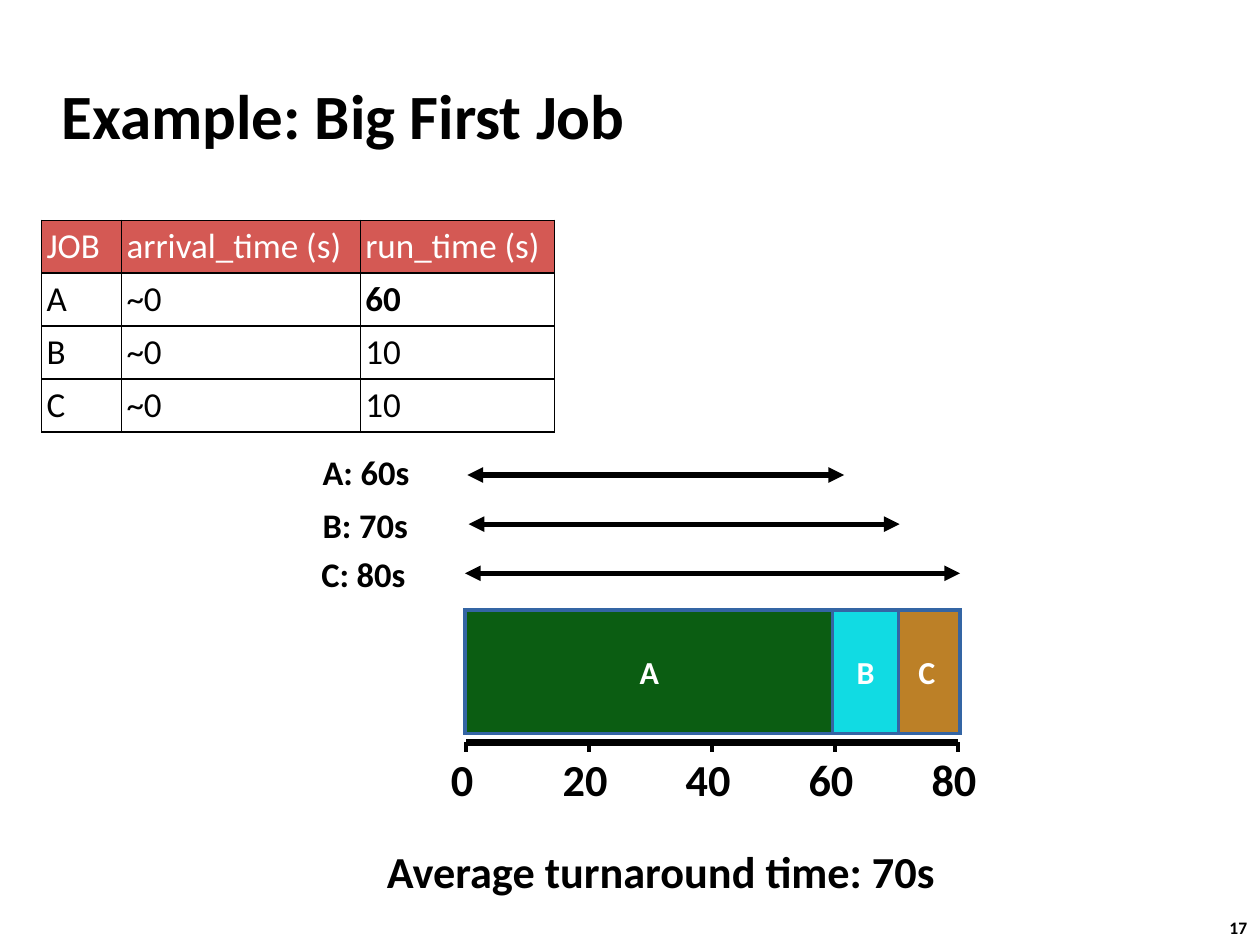
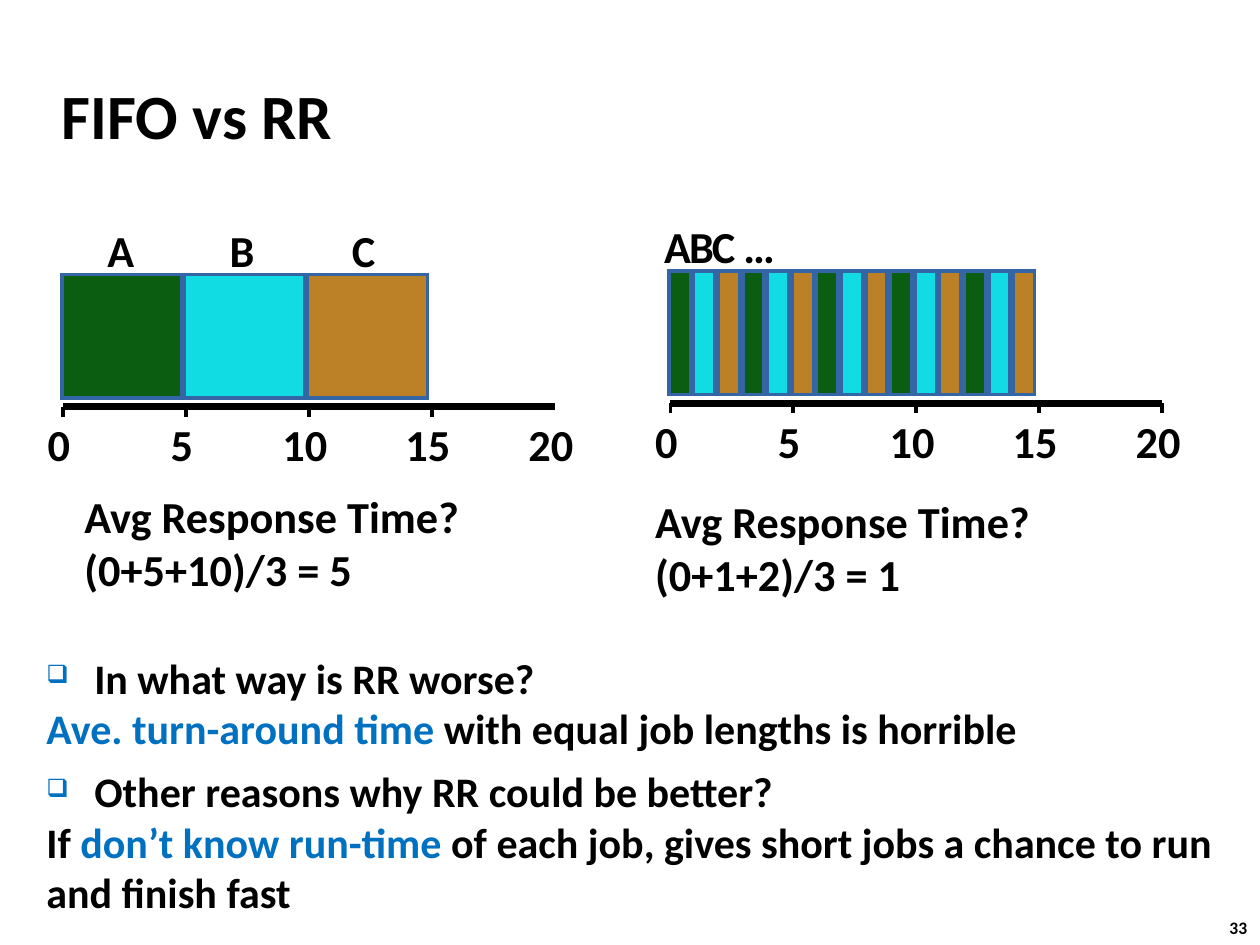
from dataclasses import dataclass

from lxml import etree
from pptx import Presentation
from pptx import util as u
from pptx.dml.color import RGBColor
from pptx.enum import shapes, text
from pptx.oxml import ns

COLORS = {
    "ink": "000000", "paper": "FFFFFF", "accent": "0070C0", "edge": "3465A4",
    "header": "D45954", "A": "0B5D12", "B": "11DBE3", "C": "BC8027",
}
FONT = "Calibri"
WIDTH, HEIGHT = u.Inches(10), u.Inches(7.5)
COLUMN, ROW = WIDTH / 100, HEIGHT / 75
TIGHT = u.Inches(0.04)
BIG = 25.3
AXIS_STEP = 9.76  # columns between two ticks


@dataclass
class Bar:
    job: str
    start: float
    length: float
    caption: str = ""


@dataclass
class Mark:
    """A label above the bars, its left edge given as a time."""
    label: str
    time: float


@dataclass
class Timeline:
    left: float
    top: float
    step: int
    bars: list[Bar]
    marks: list[Mark]
    ticks: int = 5

    def column(self, time: float) -> float:
        return self.left + time * AXIS_STEP / self.step


@dataclass
class Turnaround:
    label: str
    label_left: float
    label_top: float
    start: float
    end: float


@dataclass
class Note:
    """A bulleted question and its answer as (text, color) spans."""
    top: float
    width: float
    height: float
    question: str
    answer: list[tuple[str, str]]


def x(columns: float) -> int:
    return round(columns * COLUMN)


def y(rows: float) -> int:
    return round(rows * ROW)


def rgb(name: str) -> RGBColor:
    return RGBColor.from_string(COLORS[name])


def style_text(frame, size: float, color: str = "ink", bold: bool = True) -> None:
    for para in frame.paragraphs:
        for span in para.runs:
            span.font.name = FONT
            span.font.size = u.Pt(size)
            span.font.bold = bold
            span.font.color.rgb = rgb(color)


def set_margins(holder, margin: int) -> None:
    holder.margin_left = holder.margin_right = margin
    holder.margin_top = holder.margin_bottom = margin


def add_text(page, words: str, left: float, top: float, width: float,
             height: float, size: float, tight: bool = True, wrap: bool = False):
    box = page.shapes.add_textbox(x(left), y(top), x(width), y(height))
    frame = box.text_frame
    frame.word_wrap = wrap
    frame.text = words
    if tight:
        set_margins(frame, TIGHT)
        frame.vertical_anchor = text.MSO_ANCHOR.MIDDLE
    style_text(frame, size)
    return frame


def add_line(page, left: float, top: float, right: float, bottom: float,
             weight: float, arrows: bool = False) -> None:
    line = page.shapes.add_connector(
        shapes.MSO_CONNECTOR.STRAIGHT, x(left), y(top), x(right), y(bottom))
    line.line.color.rgb = rgb("ink")
    line.line.width = u.Pt(weight)
    properties = line._element.spPr
    if arrows:
        stroke = properties.find(ns.qn("a:ln"))
        for end in ("a:headEnd", "a:tailEnd"):
            etree.SubElement(stroke, ns.qn(end), type="triangle")
    etree.SubElement(properties, ns.qn("a:effectLst"))


def add_bar(page, timeline: Timeline, bar: Bar) -> None:
    width = bar.length * AXIS_STEP / timeline.step
    shape = page.shapes.add_shape(
        shapes.MSO_SHAPE.RECTANGLE, x(timeline.column(bar.start) - 0.1),
        y(timeline.top - 10.5), x(width), y(9.8))
    shape.shadow.inherit = False
    shape.fill.solid()
    shape.fill.fore_color.rgb = rgb(bar.job)
    shape.line.color.rgb = rgb("edge")
    shape.line.width = u.Pt(2)
    stroke = shape._element.spPr.find(ns.qn("a:ln"))
    etree.SubElement(stroke, ns.qn("a:miter"), lim="800000")
    if bar.caption:
        frame = shape.text_frame
        frame.text = bar.caption
        set_margins(frame, 0)
        frame.vertical_anchor = text.MSO_ANCHOR.MIDDLE
        frame.paragraphs[0].alignment = text.PP_ALIGN.CENTER
        style_text(frame, 18.3, "paper")


def add_timeline(page, timeline: Timeline) -> None:
    for bar in timeline.bars:
        add_bar(page, timeline, bar)
    top = timeline.top
    add_line(page, timeline.left, top, timeline.column(4 * timeline.step), top, 4)
    for index in range(5):
        time = index * timeline.step
        column = timeline.column(time)
        if index < timeline.ticks:
            add_line(page, column, top, column, top + 0.8, 2)
        width = 0.85 + 1.78 * len(str(time))
        add_text(page, str(time), column - 0.3 - width / 2, top + 0.45,
                 width, 5, BIG)
    for mark in timeline.marks:
        width = 3.5 if mark.label == "…" else 3
        add_text(page, mark.label, timeline.column(mark.time), top - 15,
                 width, 5, BIG)


def add_job_table(page, rows: list[list[str]], widths: list[float]) -> None:
    table = page.shapes.add_table(
        len(rows), len(widths), x(3.3), y(17.5), x(sum(widths)),
        y(4.2 * len(rows))).table
    table.first_row = table.horz_banding = False
    for column, width in zip(table.columns, widths):
        column.width = x(width)
    for row_index, (row, values) in enumerate(zip(table.rows, rows)):
        row.height = y(4.2)
        for cell, value in zip(row.cells, values):
            cell.text = value
            set_margins(cell, TIGHT)
            cell.vertical_anchor = text.MSO_ANCHOR.MIDDLE
            if row_index == 0:
                cell.fill.solid()
                cell.fill.fore_color.rgb = rgb("header")
            else:
                cell.fill.background()
            style_text(cell.text_frame, 20, "ink" if row_index else "paper",
                       bold=value == "60")
            add_borders(cell)


def add_borders(cell) -> None:
    properties = cell._tc.get_or_add_tcPr()
    for index, (side, points) in enumerate(
            (("L", 0.5), ("R", 0.5), ("T", 1.25), ("B", 1.25))):
        border = etree.Element(ns.qn(f"a:ln{side}"), w=str(u.Pt(points)))
        fill = etree.SubElement(border, ns.qn("a:solidFill"))
        etree.SubElement(fill, ns.qn("a:srgbClr"), val=COLORS["ink"])
        properties.insert(index, border)


def add_note(page, note: Note) -> None:
    frame = add_text(page, note.question, 2.7, note.top, note.width,
                     note.height, 24, tight=False, wrap=True)
    properties = frame.paragraphs[0]._p.get_or_add_pPr()
    indent = u.Inches(0.38)
    properties.set("marL", str(indent))
    properties.set("indent", str(-indent))
    color = etree.SubElement(properties, ns.qn("a:buClr"))
    etree.SubElement(color, ns.qn("a:srgbClr"), val=COLORS["accent"])
    etree.SubElement(properties, ns.qn("a:buSzPct"), val="60000")
    etree.SubElement(properties, ns.qn("a:buChar"), char="❑")
    para = frame.add_paragraph()
    for words, _ in note.answer:
        para.add_run().text = words
    style_text(frame, 24)
    for span, (_, name) in zip(para.runs, note.answer):
        span.font.color.rgb = rgb(name)


def add_page(deck, title: str, number: int):
    page = deck.slides.add_slide(deck.slide_layouts[6])
    page.background.fill.solid()
    page.background.fill.fore_color.rgb = rgb("paper")
    add_text(page, str(number), 96.6, 72.3, 3.7, 2.7, 10, tight=False)
    heading = add_text(page, title, 3.9, 4.9, 83, 8.3, 36, tight=False, wrap=True)
    heading.vertical_anchor = text.MSO_ANCHOR.MIDDLE
    return page


def build_big_job(deck) -> None:
    page = add_page(deck, "Example: Big First Job", 17)
    bars = [Bar("A", 0, 60, "A"), Bar("C", 69.8, 10.7, "C"),
            Bar("B", 59.8, 10.7, "B")]
    add_timeline(page, Timeline(37, 58.9, 20, bars, []))
    add_text(page, "Average turnaround time: 70s", 30.3, 66.6, 46, 5, BIG)
    turnarounds = [
        Turnaround("A: 60s", 25.2, 35.4, 37.1, 67),
        Turnaround("B: 70s", 25.2, 39.6, 37.2, 71.4),
        Turnaround("C: 80s", 25.1, 43.5, 36.9, 76.2),
    ]
    for index, job in enumerate(turnarounds):
        row = 37.7 + 3.9 * index
        add_line(page, job.start, row, job.end, row, 3, arrows=True)
        add_text(page, job.label, job.label_left, job.label_top, 8.5, 4.1, 19.7)
    add_job_table(page, [
        ["JOB", "arrival_time (s)", "run_time (s)"],
        ["A", "~0", "60"],
        ["B", "~0", "10"],
        ["C", "~0", "10"],
    ], [6.35, 18.95, 15.4])


def build_fifo_vs_rr(deck) -> None:
    page = add_page(deck, "FIFO vs RR", 33)
    jobs = "ABC"
    fifo = Timeline(
        5, 32.3, 5, [Bar(job, 5 * i, 4.87) for i, job in enumerate(jobs)],
        [Mark(job, 1.6 + 4.97 * i) for i, job in enumerate(jobs)], ticks=4)
    round_robin = Timeline(
        53.2, 32, 5, [Bar(job, i, 0.87) for i, job in enumerate(jobs * 5)],
        [Mark("A", -0.46), Mark("B", 0.56), Mark("C", 1.49), Mark("…", 2.77)])
    for timeline in (fifo, round_robin):
        add_timeline(page, timeline)
    for left, top, average in ((51.6, 38.8, "(0+1+2)/3 = 1"),
                               (6.3, 38.4, "(0+5+10)/3 = 5")):
        add_text(page, f"Avg Response Time?\n{average}", left, top, 32, 9.3, BIG)
    add_note(page, Note(60.3, 96.9, 13.1, "Other reasons why RR could be better?", [
        ("If ", "ink"), ("don’t know run-time ", "accent"),
        ("of each job, gives short jobs a chance to run and finish fast", "ink")]))
    add_note(page, Note(51.3, 81.6, 9.1, "In what way is RR worse?", [
        ("Ave. turn-around time ", "accent"),
        ("with equal job lengths is horrible", "ink")]))


def main() -> None:
    deck = Presentation()
    deck.slide_width, deck.slide_height = WIDTH, HEIGHT
    build_big_job(deck)
    build_fifo_vs_rr(deck)
    deck.save("out.pptx")


if __name__ == "__main__":
    main()
